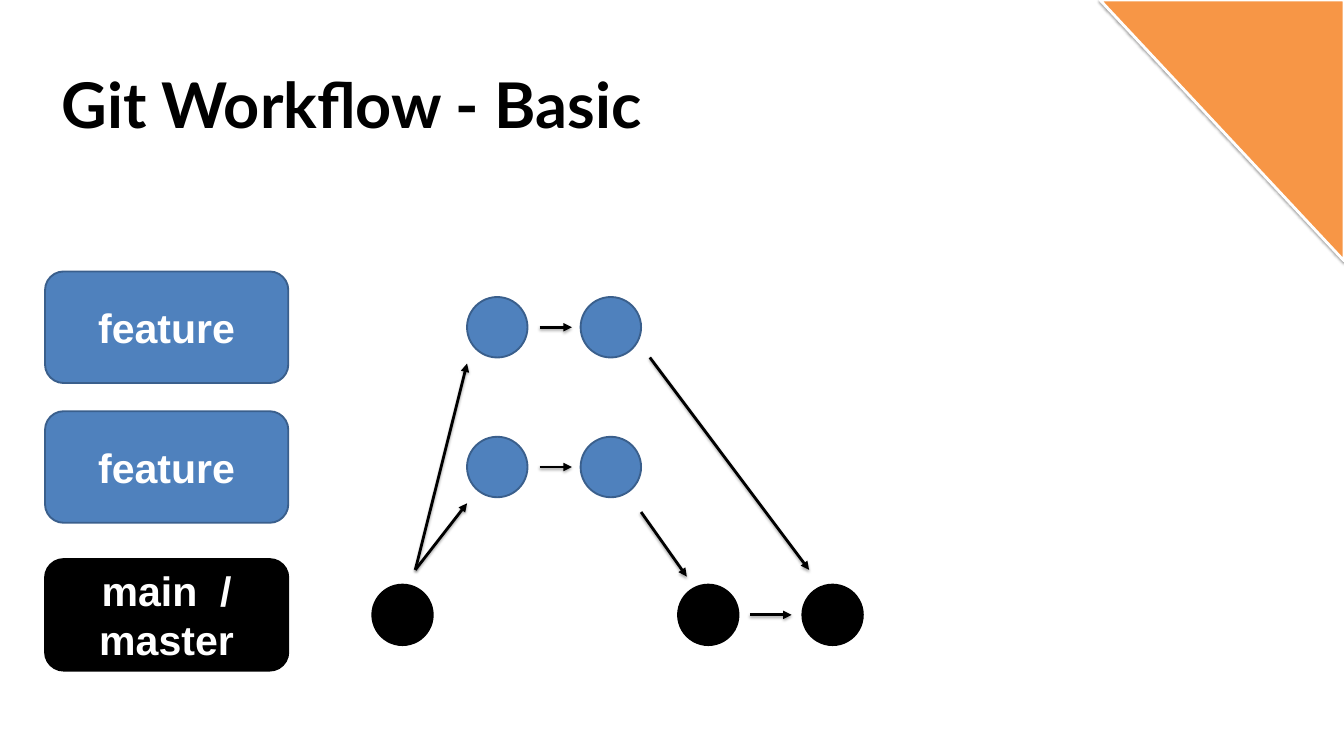
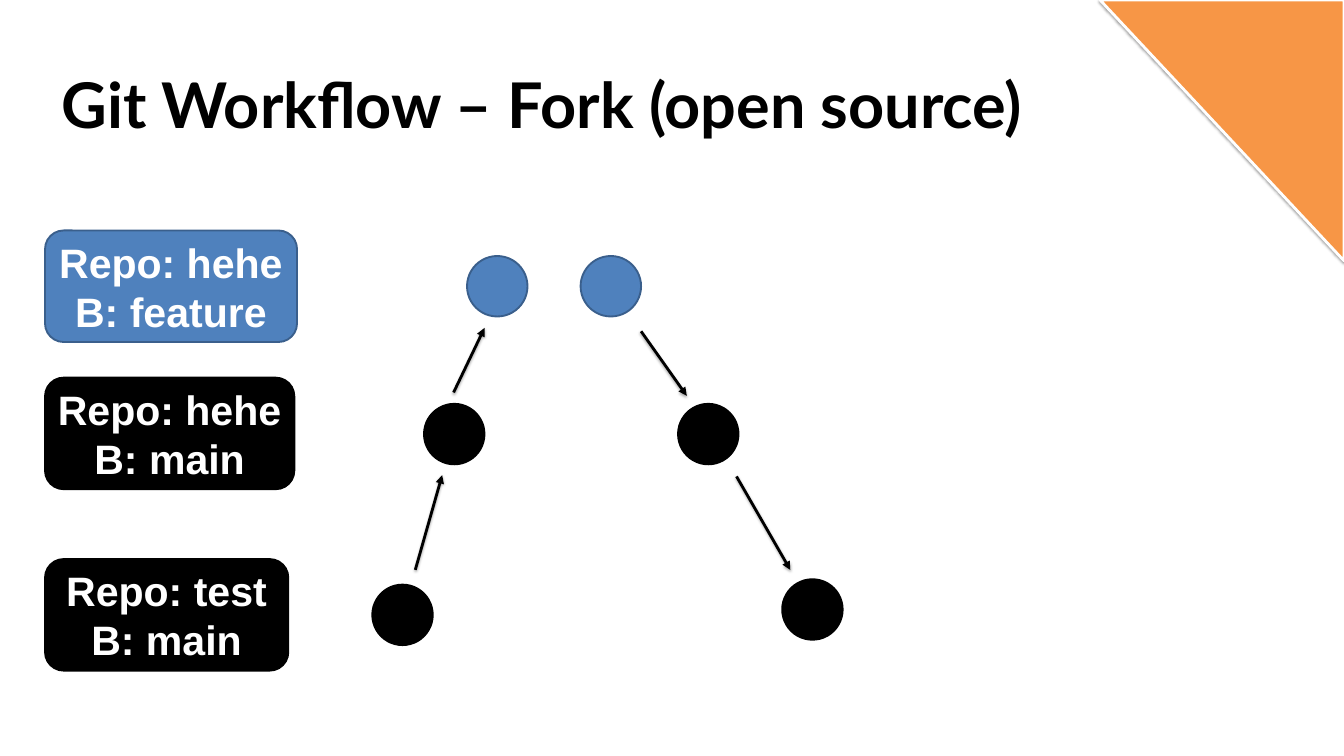
"""Build two slides that chart the basic and the fork Git workflows."""
from lxml.etree import SubElement as Sub
from pptx import Presentation
from pptx.dml.color import RGBColor as Rgb
from pptx.enum.shapes import MSO_CONNECTOR as Conn, MSO_SHAPE as Kind
from pptx.enum.text import MSO_ANCHOR as Anchor, PP_ALIGN as Align
from pptx.oxml.ns import qn
from pptx.util import Inches, Pt

HUES = {"black": "000000", "blue": "4F81BD", "edge": "3A5F8C",
        "orange": "F79646", "white": "FFFFFF"}
EDGES = {"black": "black", "blue": "edge", "orange": "white"}
LEFT, HIGH, DOT = 0.67, 1.66, 0.9

SLIDES = [
    {"title": "Git Workflow - Basic",
     "boxes": [("feature", "blue", 4.04, 3.62),
               ("feature", "blue", 6.12, 3.62),
               ("main  / master", "black", 8.32, 3.62)],
     "dots": [("blue", 4.42, [6.95, 8.64]),
              ("blue", 6.5, [6.95, 8.64]),
              ("black", 8.7, [5.54, 10.09, 11.94])],
     "arrows": [(6.18, 8.48, 6.95, 7.49), (8.03, 6.95, 8.51, 6.95),
                (9.54, 7.62, 10.22, 8.58), (8.03, 4.87, 8.51, 4.87),
                (6.18, 8.48, 6.95, 5.41), (11.16, 9.15, 11.78, 9.15),
                (9.67, 5.32, 12.04, 8.48)]},
    {"title": "Git Workflow – Fork (open source)",
     "boxes": [("Repo: hehe\nB: feature", "blue", 3.43, 3.75),
               ("Repo: hehe\nB: main", "black", 5.62, 3.71),
               ("Repo: test\nB: main", "black", 8.32, 3.62)],
     "dots": [("blue", 3.81, [6.95, 8.64]),
              ("black", 6.01, [6.31, 10.09]),
              ("black", 8.7, [5.54]),
              ("black", 8.62, [11.64])],
     "arrows": [(6.18, 8.48, 6.58, 7.07), (6.75, 5.84, 7.21, 4.88),
                (9.54, 4.93, 10.22, 5.89), (10.96, 7.09, 11.76, 8.48)]},
]


def paint(shape, hue, width=2):
    shape.shadow.inherit = False
    shape.fill.solid()
    shape.fill.fore_color.rgb = Rgb.from_string(HUES[hue])
    shape.line.color.rgb = Rgb.from_string(HUES[EDGES[hue]])
    shape.line.width = Pt(width)


def shade(item, gap, alpha):
    props = item._element.spPr
    for old in props.findall(qn("a:effectLst")):
        props.remove(old)
    cast = Sub(Sub(props, qn("a:effectLst")), qn("a:outerShdw"),
               blurRad=str(Pt(3.1)), dist=str(Pt(gap)), dir="5400000", rotWithShape="0")
    tint = Sub(cast, qn("a:srgbClr"), val=HUES["black"])
    Sub(tint, qn("a:alpha"), val=str(alpha * 1000))


deck = Presentation()
deck.slide_width, deck.slide_height = Inches(20), Inches(11.25)

for page in SLIDES:
    slide = deck.slides.add_slide(deck.slide_layouts[6])
    shapes = slide.shapes

    title = shapes.add_textbox(Inches(0.92), Inches(0.96), Inches(15.29), Inches(1.15))
    frame = title.text_frame
    frame.word_wrap = True
    frame.margin_left = frame.margin_right = frame.margin_bottom = 0
    frame.margin_top = Inches(0.02)
    frame.text = page["title"]
    font = frame.paragraphs[0].runs[0].font
    font.name, font.size, font.bold = "Lato", Pt(67.5), True
    font.color.rgb = Rgb.from_string(HUES["black"])

    build = shapes.build_freeform(Inches(16.37), 0)
    build.add_line_segments([(Inches(20), 0), (Inches(20), Inches(3.88))], close=True)
    corner = build.convert_to_shape()
    paint(corner, "orange", 3)
    shade(corner, 1.6, 38)

    for words, hue, top, wide in page["boxes"]:
        box = shapes.add_shape(Kind.ROUNDED_RECTANGLE, Inches(LEFT), Inches(top),
                               Inches(wide), Inches(HIGH))
        paint(box, hue)
        frame = box.text_frame
        frame.word_wrap = True
        frame.vertical_anchor = Anchor.MIDDLE
        frame.text = words
        for para in frame.paragraphs:
            para.alignment = Align.CENTER
            font = para.runs[0].font
            font.name, font.size, font.bold = "Arial", Pt(44), True
            font.color.rgb = Rgb.from_string(HUES["white"])

    for hue, top, lefts in page["dots"]:
        for left in lefts:
            dot = shapes.add_shape(Kind.OVAL, Inches(left), Inches(top),
                                   Inches(DOT), Inches(DOT))
            paint(dot, hue)

    for ends in page["arrows"]:
        arrow = shapes.add_connector(Conn.STRAIGHT, *[Inches(end) for end in ends])
        arrow.line.color.rgb = Rgb.from_string(HUES["black"])
        arrow.line.width = Pt(3)
        Sub(arrow.line._get_or_add_ln(), qn("a:tailEnd"), type="triangle")
        shade(arrow, 1.8, 35)

deck.save("out.pptx")
